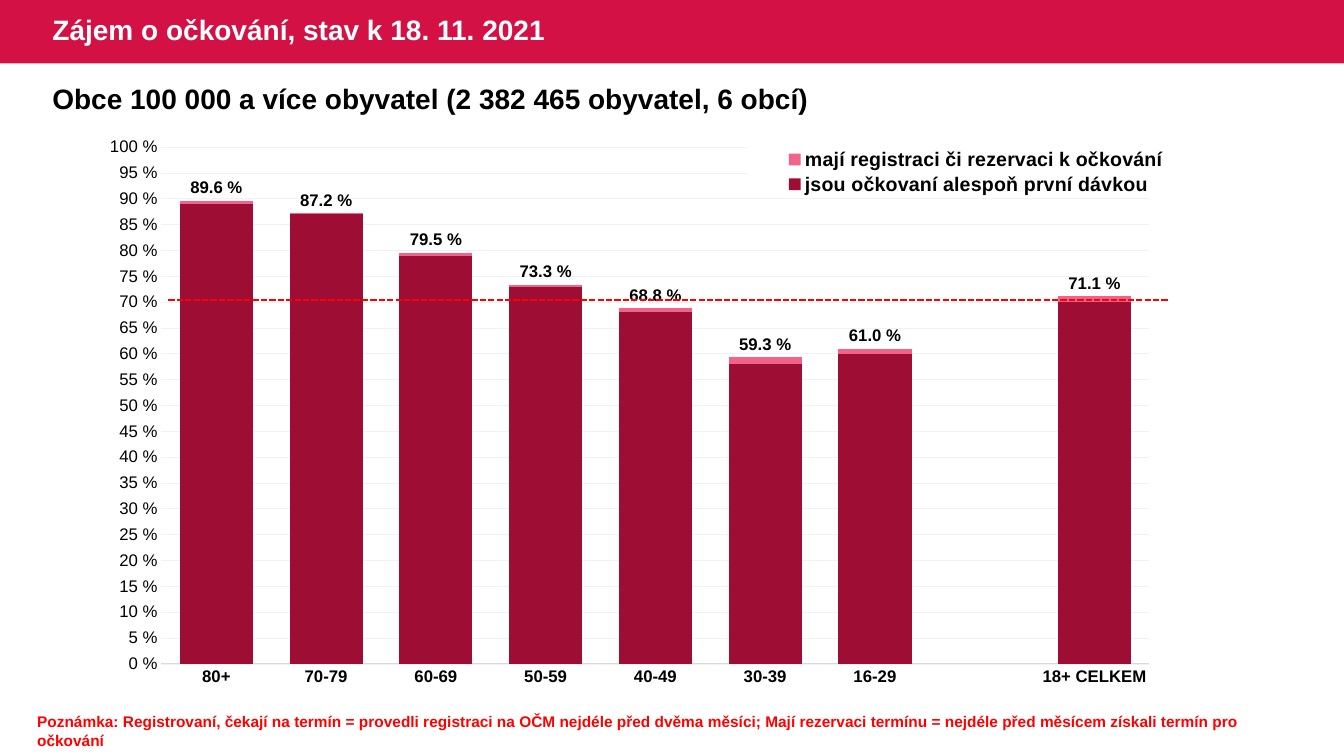
"""Builds the slide on vaccination interest in large Czech municipalities."""
from lxml import etree
from pptx import Presentation
from pptx import util as u
from pptx.chart.data import CategoryChartData
from pptx.dml.color import RGBColor
from pptx.enum import chart as kinds, dml, shapes, text
from pptx.oxml import parse_xml
from pptx.oxml.ns import nsdecls, qn

CRIMSON = RGBColor(0xD3, 0x11, 0x45)
PINK = RGBColor(0xF2, 0x62, 0x89)
WINE = RGBColor(0x9E, 0x0D, 0x34)
RED = RGBColor(0xFF, 0x00, 0x00)
BLACK = RGBColor(0x00, 0x00, 0x00)
WHITE = RGBColor(0xFF, 0xFF, 0xFF)
GRID = RGBColor(0xF2, 0xF2, 0xF2)
AXIS = RGBColor(0xD9, 0xD9, 0xD9)

AGES = ["80+", "70-79", "60-69", "50-59", "40-49", "30-39", "16-29", "", "18+ CELKEM"]
SERIES = [
    ("mají registraci či rezervaci k očkování", PINK,
     [89.6, 87.2, 79.5, 73.3, 68.8, 59.3, 61, None, 71.1]),
    ("jsou očkovaní alespoň první dávkou", WINE,
     [89, 87, 79, 73, 68, 58, 60, None, 70]),
]
NOTE = ("Poznámka: Registrovaní, čekají na termín = provedli registraci na OČM nejdéle "
        "před dvěma měsíci; Mají rezervaci termínu = nejdéle před měsícem získali termín "
        "pro očkování")


class SlideBuilder:
    """Holds the font and the current slide, and adds each kind of element."""

    def __init__(self, deck, font_name):
        self.slide = deck.slides.add_slide(deck.slide_layouts[5])
        self.font_name = font_name

    def style(self, font, size, color=BLACK, bold=True):
        """Apply size, weight, typeface and colour to a font."""
        values = {"name": self.font_name, "size": u.Pt(size), "bold": bold}
        for name, value in values.items():
            setattr(font, name, value)
        font.color.rgb = color

    def fill_text(self, box, words, size, color, anchor):
        """Write one left-aligned paragraph into a shape."""
        frame = box.text_frame
        values = {"word_wrap": True, "vertical_anchor": anchor,
                  "auto_size": text.MSO_AUTO_SIZE.NONE}
        for name, value in values.items():
            setattr(frame, name, value)
        para = frame.paragraphs[0]
        para.alignment = text.PP_ALIGN.LEFT
        span = para.add_run()
        span.text = words
        self.style(span.font, size, color)
        return para

    def banner(self, area, color):
        """Add a filled band behind everything else."""
        band = self.slide.shapes.add_shape(
            shapes.MSO_SHAPE.RECTANGLE, *map(u.Inches, area))
        band.shadow.inherit = False
        band.fill.solid()
        band.fill.fore_color.rgb = color
        band.line.fill.background()
        self.slide.shapes[0].element.addprevious(band.element)

    def title(self, area, words):
        """Place and format the title placeholder."""
        box = self.slide.shapes.title
        for name, value in zip(("left", "top", "width", "height"), area):
            setattr(box, name, u.Inches(value))
        para = self.fill_text(box, words, 20, WHITE, text.MSO_ANCHOR.MIDDLE)
        para.line_spacing = 0.9

    def textbox(self, area, words, size, color):
        """Add a text box."""
        box = self.slide.shapes.add_textbox(*map(u.Inches, area))
        self.fill_text(box, words, size, color, text.MSO_ANCHOR.TOP)

    def dashed_line(self, start, end, color):
        """Add a dashed straight line."""
        line = self.slide.shapes.add_connector(
            shapes.MSO_CONNECTOR.STRAIGHT, *map(u.Inches, start + end))
        line.line.color.rgb = color
        line.line.width = u.Pt(1.5)
        line.line.dash_style = dml.MSO_LINE.SQUARE_DOT
        etree.SubElement(line.element.spPr, qn("a:effectLst"))

    def layout(self, place, inner=False):
        """Return a manual chart layout for a place given in percent."""
        target = '<c:layoutTarget val="inner"/>' if inner else ""
        modes = '<c:xMode val="edge"/><c:yMode val="edge"/>'
        sizes = "".join(f'<c:{key} val="{value / 100:.3f}"/>'
                        for key, value in zip("xywh", place))
        return parse_xml(f'<c:layout {nsdecls("c")}><c:manualLayout>{target}{modes}{sizes}'
                         "</c:manualLayout></c:layout>")

    def column_chart(self, area, categories, series):
        """Add a chart of overlapping columns."""
        data = CategoryChartData()
        data.categories = categories
        for name, _, values in series:
            data.add_series(name, values)
        chart = self.slide.shapes.add_chart(
            kinds.XL_CHART_TYPE.COLUMN_CLUSTERED, *map(u.Inches, area), data).chart
        chart.has_title = False
        self.style(chart.font, 10, bold=False)
        plot = chart.plots[0]
        for name, value in {"gap_width": 50, "overlap": 100, "vary_by_categories": False}.items():
            setattr(plot, name, value)
        for bars, (_, color, _) in zip(plot.series, series):
            bars.format.fill.solid()
            bars.format.fill.fore_color.rgb = color
        self.value_labels(plot.series[0].data_labels)
        self.axes(chart)
        self.legend(chart)
        area_xml = chart._chartSpace.chart.plotArea
        for old in area_xml.findall(qn("c:layout")):
            area_xml.remove(old)
        area_xml.insert(0, self.layout((4.55, 3.25, 88.8, 89.5), inner=True))

    def value_labels(self, labels):
        """Show percentages above the columns."""
        values = {"show_value": True, "number_format": '0.0" %"',
                  "number_format_is_linked": False,
                  "position": kinds.XL_LABEL_POSITION.OUTSIDE_END}
        for name, value in values.items():
            setattr(labels, name, value)
        self.style(labels.font, 12)

    def axes(self, chart):
        """Format both axes and the gridlines."""
        ages, shares = chart.category_axis, chart.value_axis
        for axis, bold in ((ages, True), (shares, False)):
            axis.major_tick_mark = axis.minor_tick_mark = kinds.XL_TICK_MARK.NONE
            self.style(axis.tick_labels.font, 12, bold=bold)
        ages.format.line.color.rgb = AXIS
        ages.format.line.width = u.Pt(0.75)
        scale = {"minimum_scale": 0, "maximum_scale": 100, "major_unit": 5,
                 "has_major_gridlines": True}
        for name, value in scale.items():
            setattr(shares, name, value)
        shares.tick_labels.number_format = '0" %"'
        shares.tick_labels.number_format_is_linked = False
        shares.format.line.fill.background()
        shares.major_gridlines.format.line.color.rgb = GRID
        shares.major_gridlines.format.line.width = u.Pt(0.5)

    def legend(self, chart):
        """Place a white legend over the top right of the plot."""
        chart.has_legend = True
        legend = chart.legend
        legend.position = kinds.XL_LEGEND_POSITION.TOP
        legend.include_in_layout = False
        self.style(legend.font, 14)
        root = legend._element
        for old in root.findall(qn("c:layout")):
            root.remove(old)
        root.find(qn("c:overlay")).addprevious(self.layout((57.1, 3.1, 41.2, 9)))
        root.find(qn("c:txPr")).addprevious(parse_xml(
            f'<c:spPr {nsdecls("c", "a")}><a:solidFill><a:srgbClr val="{WHITE}"/>'
            "</a:solidFill></c:spPr>"))


def main():
    """Build and save the deck."""
    deck = Presentation()
    deck.slide_width, deck.slide_height = u.Inches(13.33), u.Inches(7.5)
    page = SlideBuilder(deck, "Arial")
    page.banner((0, 0, 13.33, 0.63), CRIMSON)
    page.title((0.42, 0, 5.9, 0.63), "Zájem o očkování, stav k 18. 11. 2021")
    page.textbox((0.42, 0.76, 12.39, 0.44),
                 "Obce 100 000 a více obyvatel (2 382 465 obyvatel, 6 obcí)", 20, BLACK)
    page.column_chart((1.09, 1.27, 11.05, 5.73), AGES, SERIES)
    page.dashed_line((1.67, 2.98), (11.59, 2.98), RED)
    page.textbox((0.27, 7.02, 12.81, 0.29), NOTE, 11, RED)
    deck.save("out.pptx")


if __name__ == "__main__":
    main()
